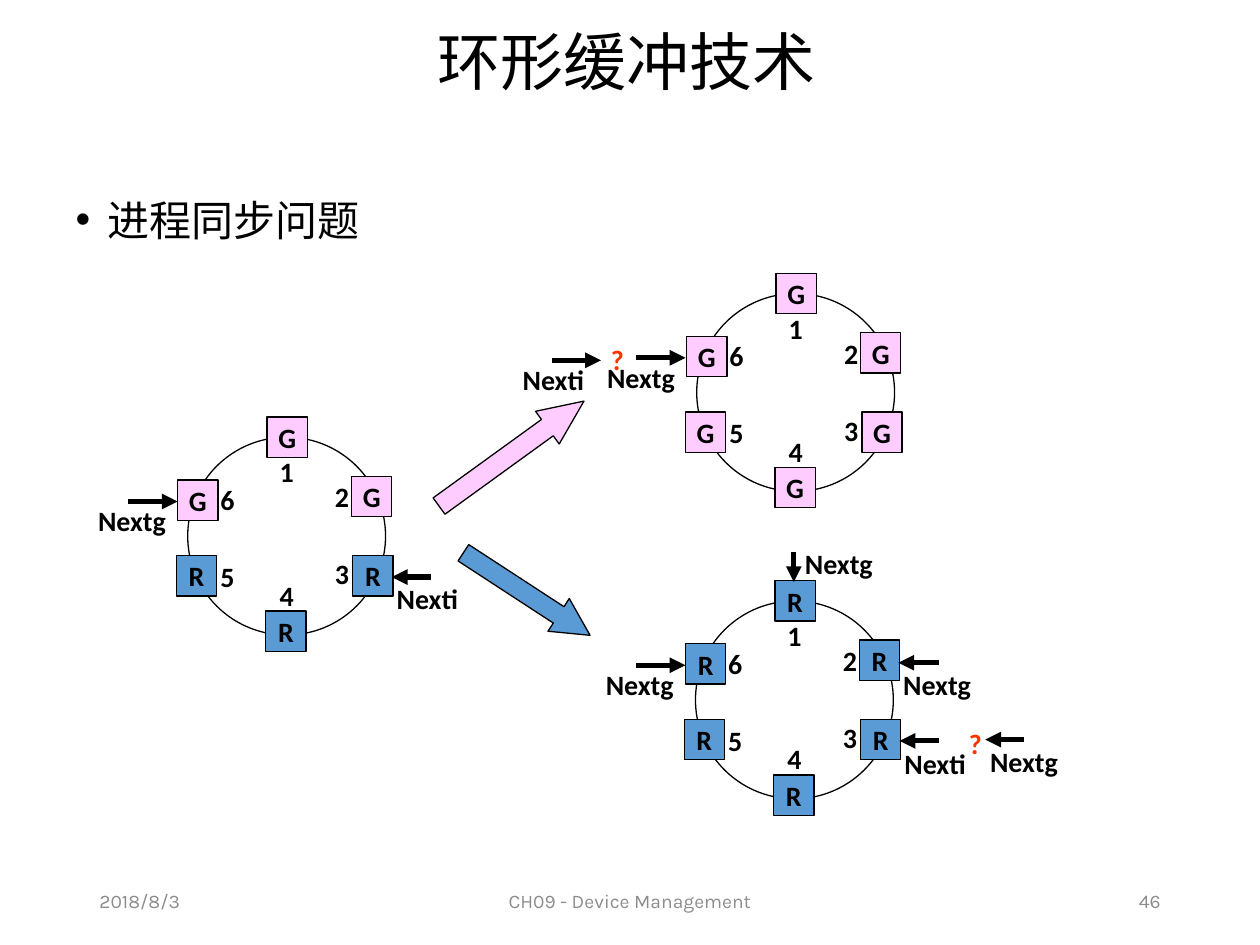
from typing import NamedTuple

from lxml import etree
from pptx import Presentation
from pptx.dml.color import RGBColor
from pptx.enum import shapes as kinds, text as txt
from pptx.oxml.ns import qn
from pptx.util import Inches, Pt

COLORS = {"ink": "000000", "G": "FFCCFF", "R": "5B9BD5", "doubt": "FF3300", "footer": "8C8C8C"}
CJK = "Noto Sans CJK SC"
RING_SIZE = 1.57
BUFFER_SIZE = 0.32
LABEL_HEIGHT = 0.37
LEFT, CENTER, RIGHT = txt.PP_ALIGN.LEFT, txt.PP_ALIGN.CENTER, txt.PP_ALIGN.RIGHT


class Slot(NamedTuple):
    buffer: tuple[float, float]
    number: tuple[float, float]


class Ring(NamedTuple):
    left: float
    top: float
    states: str


class Pointer(NamedTuple):
    name: str
    label: tuple[float, float]
    start: tuple[float, float]
    end: tuple[float, float]


class Transition(NamedTuple):
    left: float
    top: float
    width: float
    height: float
    rotation: float
    head: float
    state: str


class Footer(NamedTuple):
    wording: str
    left: float
    width: float
    align: txt.PP_ALIGN


SLOTS = [
    Slot((0.63, -0.16), (0.63, 0.09)),
    Slot((1.3, 0.31), (1.07, 0.29)),
    Slot((1.31, 0.94), (1.07, 0.9)),
    Slot((0.62, 1.38), (0.63, 1.07)),
    Slot((-0.09, 0.94), (0.16, 0.92)),
    Slot((-0.08, 0.34), (0.16, 0.31)),
]
RINGS = [Ring(1.49, 3.47, "GGRRRG"), Ring(5.53, 2.33, "GGGGGG"), Ring(5.52, 4.77, "RRRRRR")]
POINTERS = [
    Pointer("Nexti", (3.05, 4.57), (3.42, 4.58), (3.11, 4.58)),
    Pointer("Nextg", (0.68, 3.95), (1.02, 3.98), (1.41, 3.98)),
    Pointer("Nextg", (4.72, 2.81), (5.05, 2.84), (5.44, 2.84)),
    Pointer("Nexti", (4.05, 2.83), (4.38, 2.86), (4.77, 2.86)),
    Pointer("Nexti", (7.08, 5.88), (7.45, 5.88), (7.14, 5.88)),
    Pointer("Nextg", (4.71, 5.25), (5.05, 5.28), (5.44, 5.28)),
    Pointer("Nextg", (6.29, 4.29), (6.3, 4.38), (6.3, 4.62)),
    Pointer("Nextg", (7.07, 5.25), (7.45, 5.26), (7.13, 5.26)),
    Pointer("Nextg", (7.76, 5.86), (8.13, 5.87), (7.82, 5.87)),
]
DOUBTS = [(4.75, 2.67), (7.59, 5.72)]
TRANSITIONS = [
    Transition(3.35, 3.44, 1.42, 0.32, 324.1, 1.12, "G"),
    Transition(3.58, 4.56, 1.2, 0.31, 33.1, 0.96, "R"),
]
FOOTERS = [
    Footer("2018/8/3", 0.69, 2.25, LEFT),
    Footer("CH09 - Device Management", 3.31, 3.38, CENTER),
    Footer("46", 7.06, 2.25, RIGHT),
]


def rgb(name: str) -> RGBColor:
    return RGBColor.from_string(COLORS[name])


def style(paragraph, size: float, face: str, color: str = "ink", bold: bool = False) -> None:
    font = paragraph.font
    font.size, font.name, font.bold = Pt(size), face, bold
    font.color.rgb = rgb(color)
    if face == CJK:
        defaults = paragraph._p.pPr.find(qn("a:defRPr"))
        etree.SubElement(defaults, qn("a:ea"), typeface=face)


def place(shape, left: float, top: float, width: float, height: float) -> None:
    shape.left, shape.top = Inches(left), Inches(top)
    shape.width, shape.height = Inches(width), Inches(height)


def add_outline(slide, kind, left: float, top: float, width: float, height: float, state: str = ""):
    outline = slide.shapes.add_shape(kind, Inches(left), Inches(top), Inches(width), Inches(height))
    outline.shadow.inherit = False
    if state:
        outline.fill.solid()
        outline.fill.fore_color.rgb = rgb(state)
    else:
        outline.fill.background()
    outline.line.color.rgb = rgb("ink")
    outline.line.width = Pt(0.75)
    return outline


def add_label(slide, wording: str, left: float, top: float, width: float, color: str = "ink") -> None:
    label = slide.shapes.add_textbox(Inches(left), Inches(top), Inches(width), Inches(LABEL_HEIGHT))
    frame = label.text_frame
    frame.word_wrap = True
    frame.auto_size = txt.MSO_AUTO_SIZE.SHAPE_TO_FIT_TEXT
    frame.text = wording
    style(frame.paragraphs[0], 16, "Calibri", color, bold=True)


def add_ring(slide, ring: Ring) -> None:
    add_outline(slide, kinds.MSO_SHAPE.OVAL, ring.left, ring.top, RING_SIZE, RING_SIZE)
    for number, (slot, state) in enumerate(zip(SLOTS, ring.states), start=1):
        dx, dy = slot.buffer
        buffer = add_outline(slide, kinds.MSO_SHAPE.RECTANGLE, ring.left + dx, ring.top + dy,
                             BUFFER_SIZE, BUFFER_SIZE, state)
        frame = buffer.text_frame
        frame.word_wrap = False
        frame.vertical_anchor = txt.MSO_ANCHOR.MIDDLE
        frame.text = state
        frame.paragraphs[0].alignment = CENTER
        style(frame.paragraphs[0], 16, "Calibri", bold=True)
        dx, dy = slot.number
        add_label(slide, str(number), ring.left + dx, ring.top + dy, BUFFER_SIZE)


def add_pointer(slide, pointer: Pointer) -> None:
    ends = [Inches(length) for length in pointer.start + pointer.end]
    arrow = slide.shapes.add_connector(kinds.MSO_CONNECTOR.STRAIGHT, *ends)
    arrow.line.color.rgb = rgb("ink")
    arrow.line.width = Pt(3)
    etree.SubElement(arrow.line._get_or_add_ln(), qn("a:tailEnd"), type="triangle")
    etree.SubElement(arrow._element.spPr, qn("a:effectLst"))
    add_label(slide, pointer.name, *pointer.label, 0.82)


def add_transition(slide, change: Transition) -> None:
    arrow = add_outline(slide, kinds.MSO_SHAPE.RIGHT_ARROW, change.left, change.top,
                        change.width, change.height, change.state)
    arrow.adjustments[1] = change.head
    arrow.rotation = change.rotation


def add_footer(slide, footer: Footer) -> None:
    box = slide.shapes.add_textbox(Inches(footer.left), Inches(6.95), Inches(footer.width), Inches(0.4))
    frame = box.text_frame
    frame.word_wrap = True
    frame.vertical_anchor = txt.MSO_ANCHOR.MIDDLE
    frame.text = footer.wording
    frame.paragraphs[0].alignment = footer.align
    style(frame.paragraphs[0], 11, "Karla", "footer")


def fill_placeholders(slide) -> None:
    title, body = slide.placeholders
    place(title, 0.66, 0.14, 8.62, 0.76)
    place(body, 0.5, 1.39, 9, 5.75)
    title.text_frame.vertical_anchor = txt.MSO_ANCHOR.MIDDLE
    for holder, wording, spacing in ((title, "环形缓冲技术", 0.9), (body, "进程同步问题", 1.25)):
        holder.text_frame.auto_size = txt.MSO_AUTO_SIZE.NONE
        holder.text_frame.text = wording
        paragraph = holder.text_frame.paragraphs[0]
        paragraph.line_spacing = spacing
        paragraph.space_before = Pt(0)
    heading, topic = (holder.text_frame.paragraphs[0] for holder in (title, body))
    heading.alignment = CENTER
    style(heading, 36, CJK)
    indents = topic._p.get_or_add_pPr()
    indents.set("marL", str(Inches(0.25)))
    indents.set("indent", str(Inches(-0.25)))
    etree.SubElement(indents, qn("a:buFont"), typeface="Arial")
    etree.SubElement(indents, qn("a:buChar"), char="•")
    style(topic, 24, CJK)


def main() -> None:
    deck = Presentation()
    deck.slide_width, deck.slide_height = Inches(10), Inches(7.5)
    slide = deck.slides.add_slide(deck.slide_layouts[1])
    fill_placeholders(slide)
    for footer in FOOTERS:
        add_footer(slide, footer)
    for ring in RINGS:
        add_ring(slide, ring)
    for change in TRANSITIONS:
        add_transition(slide, change)
    for pointer in POINTERS:
        add_pointer(slide, pointer)
    for left, top in DOUBTS:
        add_label(slide, "?", left, top, 0.35, "doubt")
    deck.save("out.pptx")


if __name__ == "__main__":
    main()
